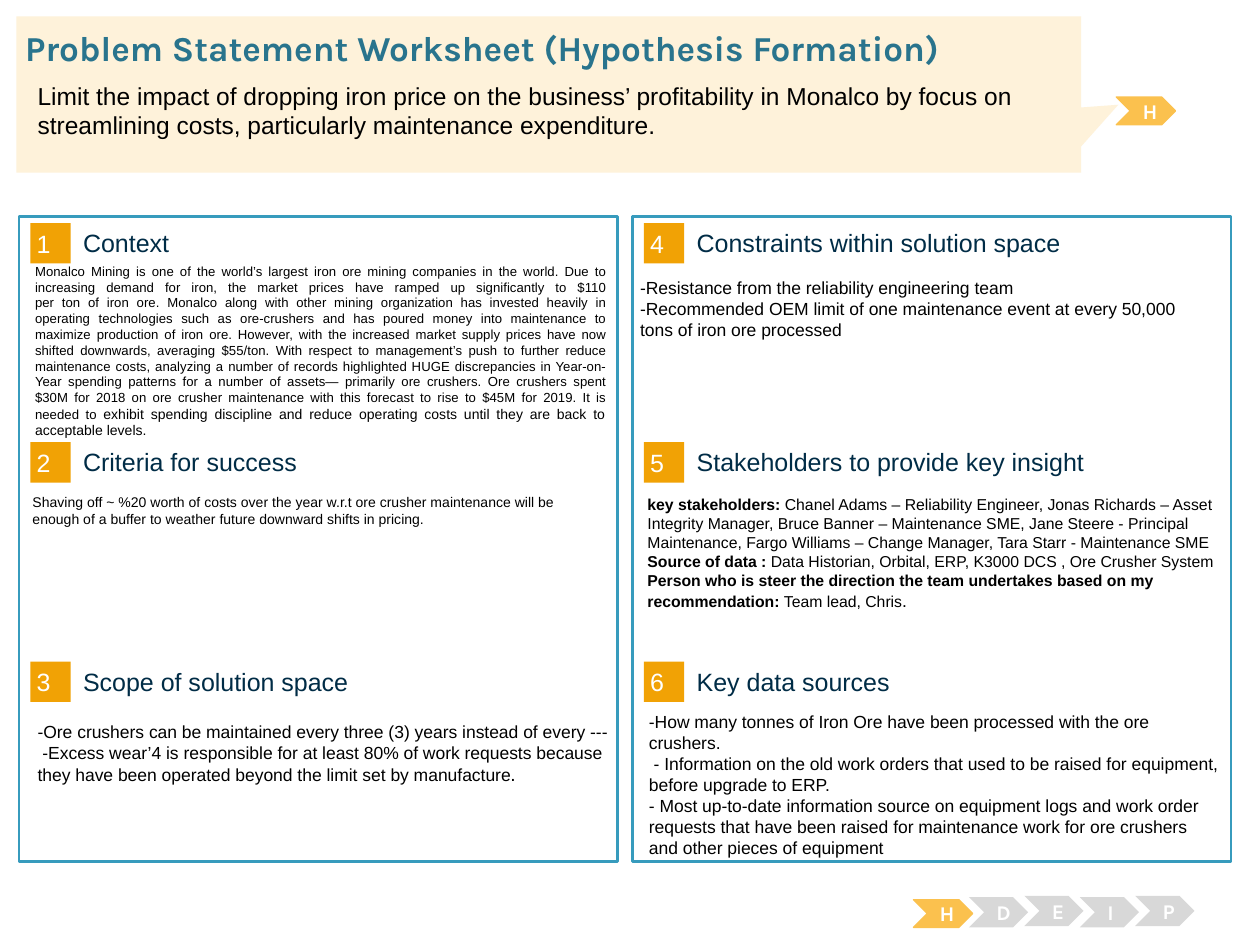
from pptx import Presentation
from pptx.dml.color import RGBColor as RGB
from pptx.enum.shapes import MSO_SHAPE as Kind
from pptx.enum.text import MSO_ANCHOR as Anchor, MSO_AUTO_SIZE as Auto, PP_ALIGN as Align
from pptx.util import Inches, Pt
from lxml import etree

WHITE = RGB(0xFF, 0xFF, 0xFF)
BLACK = RGB(0, 0, 0)
NAVY = RGB(0x00, 0x2C, 0x46)
TEAL = RGB(0x29, 0x74, 0x8D)
BLUE = RGB(0x37, 0x9B, 0xBD)
ORANGE = RGB(0xF1, 0xA2, 0x05)
GOLD = RGB(0xFB, 0xC1, 0x4E)
GREY = RGB(0xD8, 0xD8, 0xD8)
CREAM = RGB(0xFE, 0xF2, 0xDA)

LEFT, TOP = 0.15, 1.72
COL, ROW = 4.87, 1.74
PAD = (0.1, 0.05)

HEADS = ["Context", "Criteria for success", "Scope of solution space",
         "Constraints within solution space", "Stakeholders to provide key insight",
         "Key data sources"]

CONTEXT = [[
    ("Monalco Mining is one of the world’s largest iron ore mining companies in the world. "
     "Due to increasing demand for iron, the market prices have ramped up significantly to $110\n"
     "per ton of iron ore. Monalco along with other mining organization has invested heavily in "
     "operating technologies such as ore-crushers and has poured money into maintenance to "
     "maximize production of iron ore. ", {}),
    ("However, with the increased market supply prices have now "
     "shifted downwards, averaging $55/ton. With respect to management’s push to further reduce "
     "maintenance costs, analyzing a number of records highlighted HUGE discrepancies in "
     "Year-on-Year spending patterns for a number of assets— primarily ore crushers. ", {}),
    ("Ore crushers spent $30M for 2018 on ore crusher maintenance with this forecast to rise to "
     "$45M for 2019. It is needed to ", {}),
    ("exhibit spending discipline and reduce operating costs until they are back to "
     "acceptable levels.", {"size": 8})]]

SUCCESS = ["Shaving off ~ %20 worth of costs over the year w.r.t ore crusher maintenance will be "
           "enough of a buffer to weather future downward shifts in pricing."]

SCOPE = [[
    ("-Ore crushers can be maintained every three (3) years instead of every ---\n"
     " -Excess wear’4 is responsible for at least 80% of work requests because they have been "
     "operated beyond the limit set by manufacture", {}),
    (".", {"size": 11})]]

LIMITS = ["-Resistance from the reliability engineering team",
          "-Recommended OEM limit of one maintenance event at every 50,000 tons of iron ore "
          "processed"]

BOLD = {"bold": True}
PEOPLE = [
    [("key stakeholders: ", BOLD),
     ("Chanel Adams – Reliability Engineer, Jonas Richards – Asset Integrity Manager, "
      "Bruce Banner – Maintenance SME, Jane Steere - Principal Maintenance, Fargo Williams – "
      "Change Manager, Tara Starr - Maintenance SME", {})],
    [("Source of data : ", BOLD),
     ("Data Historian, Orbital, ERP, K3000 DCS , Ore Crusher System", {})],
    [("Person who is steer the direction the team undertakes based on my recommendation: ", BOLD),
     ("Team lead, Chris", {}), (".", {"size": 10})]]

DATA = ["-How many tonnes of Iron Ore have been processed with the ore crushers.",
        " - Information on the old work orders that used to be raised for equipment, before "
        "upgrade to ERP.",
        "- Most up-to-date information source on equipment logs and work order requests that have "
        "been raised for maintenance work for ore crushers and other pieces of equipment"]

GOAL = ["Limit the impact of dropping iron price on the business’ profitability in Monalco by "
        "focus on\nstreamlining costs, particularly maintenance expenditure."]


def style(run, size, color, font, bold):
    run.font.size = Pt(size)
    run.font.name = font
    run.font.bold = bold
    run.font.color.rgb = color


def text(shape, paras, pad=PAD, anchor=Anchor.TOP, align=Align.LEFT, **form):
    base = {"size": 10, "color": BLACK, "font": "Arial", "bold": False, **form}
    frame = shape.text_frame
    frame.word_wrap = True
    frame.auto_size = Auto.NONE
    frame.vertical_anchor = anchor
    frame.margin_left = frame.margin_right = Inches(pad[0])
    frame.margin_top = frame.margin_bottom = Inches(pad[1])
    for i, runs in enumerate(paras):
        para = frame.add_paragraph() if i else frame.paragraphs[0]
        para.alignment = align
        para.space_before = Pt(0)
        for words, diff in [(runs, {})] if isinstance(runs, str) else runs:
            for j, line in enumerate(words.split("\n")):
                if j:
                    para.add_line_break()
                run = para.add_run()
                run.text = line
                style(run, **{**base, **diff})


def shape(slide, kind, box, fill, line=None, width=0.75):
    form = slide.shapes.add_shape(kind, *map(Inches, box))
    form.shadow.inherit = False
    form.fill.solid()
    form.fill.fore_color.rgb = fill
    if line is None:
        form.line.fill.background()
    else:
        form.line.color.rgb = line
        form.line.width = Pt(width)
    return form


def label(slide, box, paras, **form):
    text(slide.shapes.add_textbox(*map(Inches, box)), paras, **form)


def place(slide, holder, box, paras, **form):
    holder.left, holder.top, holder.width, holder.height = map(Inches, box)
    slide.shapes._spTree.append(holder._element)
    text(holder, paras, **form)


def plain(holder):
    for para in holder.text_frame.paragraphs:
        props = para._p.get_or_add_pPr()
        props.set("marL", "0")
        props.set("indent", "0")
        space = props.nsmap["a"]
        etree.SubElement(props, "{%s}buNone" % space)


def step(slide, left, top, word, fill, line=None):
    form = shape(slide, Kind.CHEVRON, (left, top, 0.47, 0.22 if line else 0.24), fill, line)
    text(form, [word], anchor=Anchor.MIDDLE, align=Align.CENTER,
         size=12, font="Karla", color=WHITE, bold=True)


def head(slide, i, word):
    left = LEFT + i // 3 * COL
    top = TOP + 0.05 + i % 3 * ROW
    badge = shape(slide, Kind.RECTANGLE, (left + 0.09, top, 0.32, 0.32), ORANGE)
    text(badge, [str(i + 1)], pad=(0.05, 0.05), anchor=Anchor.MIDDLE, size=14.3, color=WHITE)
    label(slide, (left + 0.51, top + 0.03, 3.93, 0.25), [word], pad=(0, 0),
          anchor=Anchor.MIDDLE, size=14.3, color=NAVY)


def main():
    deck = Presentation()
    deck.slide_width, deck.slide_height = Inches(10), Inches(7.5)
    slide = deck.slides.add_slide(deck.slide_layouts[3])
    title, first, last = list(slide.placeholders)[:3]

    for i in range(2):
        shape(slide, Kind.RECTANGLE, (LEFT + i * COL, TOP, 4.75, 5.12), WHITE, BLUE, 1.5)
    for i, word in enumerate(HEADS):
        head(slide, i, word)

    label(slide, (0.18, 2.04, 4.73, 1.72), CONTEXT, size=7.5, align=Align.JUSTIFY)
    label(slide, (0.16, 3.87, 4.73, 1.54), SUCCESS, size=8)
    label(slide, (0.2, 5.67, 4.73, 0.82), SCOPE)
    place(slide, first, (4.98, 2.15, 4.73, 1.18), LIMITS)
    label(slide, (5.04, 3.88, 4.73, 1.18), PEOPLE, size=9)
    place(slide, last, (5.05, 5.59, 4.73, 1.18), DATA)
    plain(first)
    plain(last)

    step(slide, 7.25, 7.14, "H", GOLD, GOLD)
    for i, word in enumerate("DEIP"):
        step(slide, 7.69 + i * 0.44, 7.12 - i % 2 * 0.01, word, GREY)
    step(slide, 8.86, 0.77, "H", GOLD, GOLD)

    call = shape(slide, Kind.RECTANGULAR_CALLOUT, (0.13, 0.13, 8.45, 1.24), CREAM)
    call.adjustments[0], call.adjustments[1] = 0.535, 0.066
    place(slide, title, (0.2, 0.21, 9.62, 0.34), ["Problem Statement Worksheet (Hypothesis Formation)"],
          pad=(0, 0), anchor=Anchor.MIDDLE, size=20, font="Karla", color=TEAL, bold=True)
    label(slide, (0.2, 0.59, 9.39, 0.54), GOAL, size=14)
    deck.save("out.pptx")


main()
